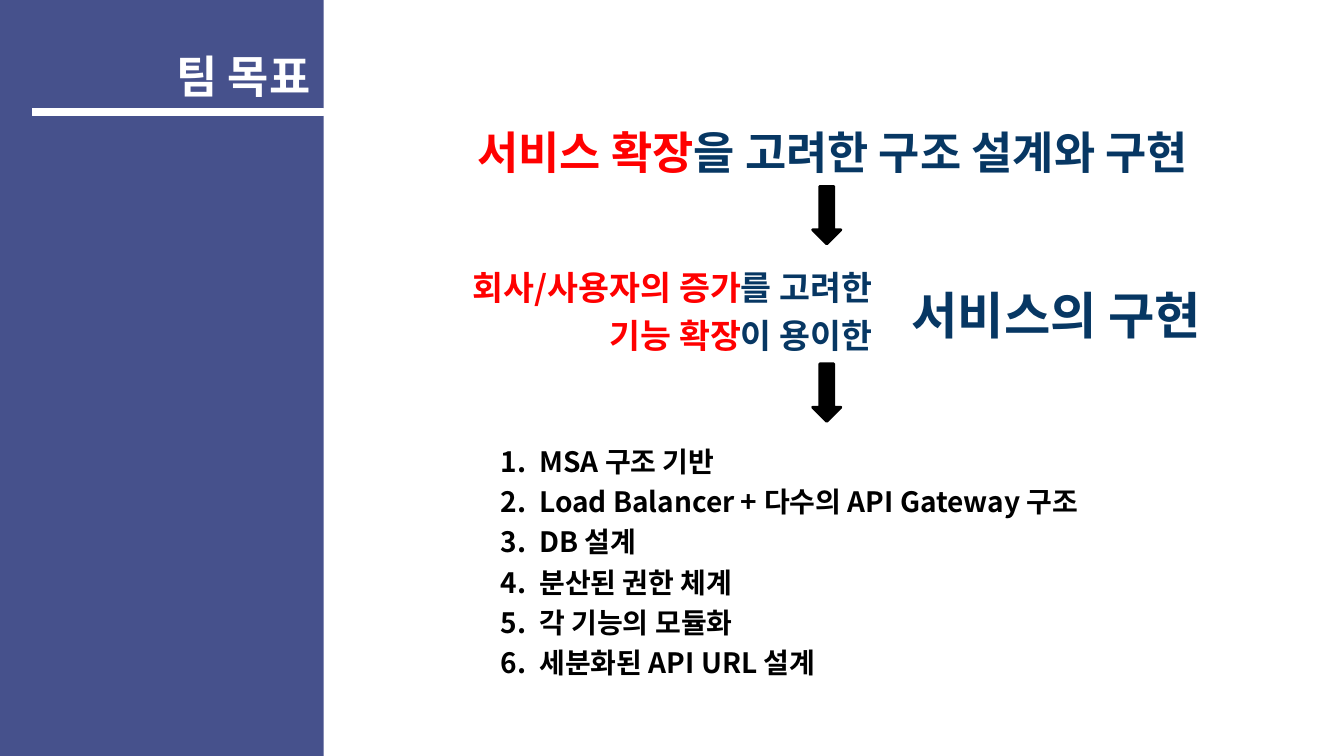
"""Build the team goal slide: a side panel with the title and a three-step flow."""
from lxml import etree
from pptx import Presentation
from pptx.dml.color import RGBColor
from pptx.enum import shapes, text
from pptx.oxml import ns
from pptx.util import Inches, Pt

FONT = "Noto Sans CJK KR"
COLORS = {"panel": "46518C", "white": "FFFFFF", "black": "000000", "red": "FF0000", "navy": "073763"}
ALIGN = text.PP_ALIGN

TITLE = [[("팀 목표", "white")]]
GOAL = [[("서비스 확장", "red"), ("을 고려한 구조 설계와 구현", "navy")]]
REASONS = [
    [("회사/사용자의 증가", "red"), ("를 고려한", "navy")],
    [("기능 확장", "red"), ("이 용이한", "navy")],
]
RESULT = [[("서비스의 구현", "navy")]]
STEPS = [[(step, "black")] for step in (
    "MSA 구조 기반",
    "Load Balancer + 다수의\u00a0API Gateway 구조",
    "DB 설계",
    "분산된 권한 체계",
    "각 기능의 모듈화",
    "세분화된 API URL 설계",
)]
TEXT_BOXES = [
    ((3.2, 1.08, 10.12, 0.68), GOAL, 32, ALIGN.CENTER, False),
    ((4.05, 2.52, 4.7, 1.07), REASONS, 24, ALIGN.RIGHT, False),
    ((4.87, 4.29, 6.67, 2.52), STEPS, 20, ALIGN.LEFT, True),
    ((8.94, 2.65, 3.49, 0.76), RESULT, 36, ALIGN.LEFT, False),
]
ARROW_TOPS = (1.85, 3.61)


def color(name):
    return RGBColor.from_string(COLORS[name])


def add_block(kind, box, fill, line_width=0):
    shape = slide.shapes.add_shape(kind, *map(Inches, box))
    shape.shadow.inherit = False
    shape.fill.solid()
    shape.fill.fore_color.rgb = color(fill)
    if line_width:
        shape.line.color.rgb = color(fill)
        shape.line.width = Pt(line_width)
    else:
        shape.line.fill.background()
    return shape


def number(paragraph):
    properties = paragraph._p.get_or_add_pPr()
    properties.set("marL", str(Inches(0.38)))
    properties.set("indent", str(-Inches(0.38)))
    bullet_color = etree.SubElement(properties, ns.qn("a:buClr"))
    etree.SubElement(bullet_color, ns.qn("a:srgbClr"), val=COLORS["black"])
    etree.SubElement(properties, ns.qn("a:buAutoNum"), type="arabicPeriod")


def write(frame, lines, size, align, spacing, numbered=False):
    frame.word_wrap = True
    for index, line in enumerate(lines):
        paragraph = frame.add_paragraph() if index else frame.paragraphs[0]
        paragraph.alignment = align
        paragraph.line_spacing = spacing
        if numbered:
            number(paragraph)
        for words, name in line:
            run = paragraph.add_run()
            run.text = words
            run.font.size = Pt(size)
            run.font.bold = True
            run.font.color.rgb = color(name)
            run.font.name = FONT
            etree.SubElement(run.font._element, ns.qn("a:ea"), typeface=FONT)


presentation = Presentation()
presentation.slide_width, presentation.slide_height = Inches(13.33), Inches(7.5)
slide = presentation.slides.add_slide(presentation.slide_layouts[5])

panel = add_block(shapes.MSO_SHAPE.RECTANGLE, (0, 0, 3.21, 7.5), "panel")
title = slide.shapes.title
title._element.addprevious(panel._element)
title.left, title.top, title.width, title.height = map(Inches, (0.78, 0.45, 2.43, 0.6))
frame = title.text_frame
frame.auto_size = text.MSO_AUTO_SIZE.NONE
frame.vertical_anchor = text.MSO_ANCHOR.MIDDLE
frame.margin_left = frame.margin_right = frame.margin_top = frame.margin_bottom = Inches(0.13)
write(frame, TITLE, 32, ALIGN.RIGHT, 1.0)
add_block(shapes.MSO_SHAPE.RECTANGLE, (0.32, 1.08, 2.89, 0.07), "white", 0.75)

for box, lines, size, align, numbered in TEXT_BOXES:
    text_box = slide.shapes.add_textbox(*map(Inches, box))
    write(text_box.text_frame, lines, size, align, 1.2, numbered)

for top in ARROW_TOPS:
    add_block(shapes.MSO_SHAPE.DOWN_ARROW, (8.06, top, 0.28, 0.57), "black", 2)

presentation.save("out.pptx")
